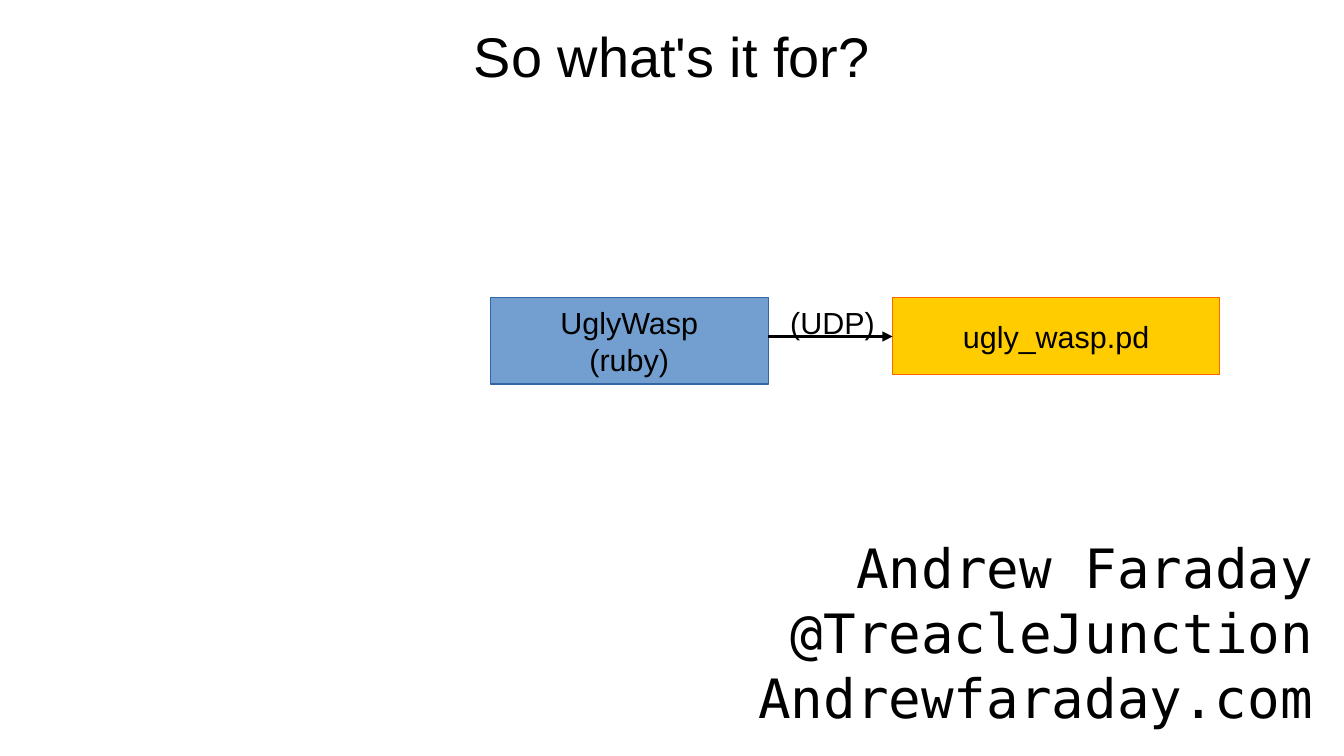
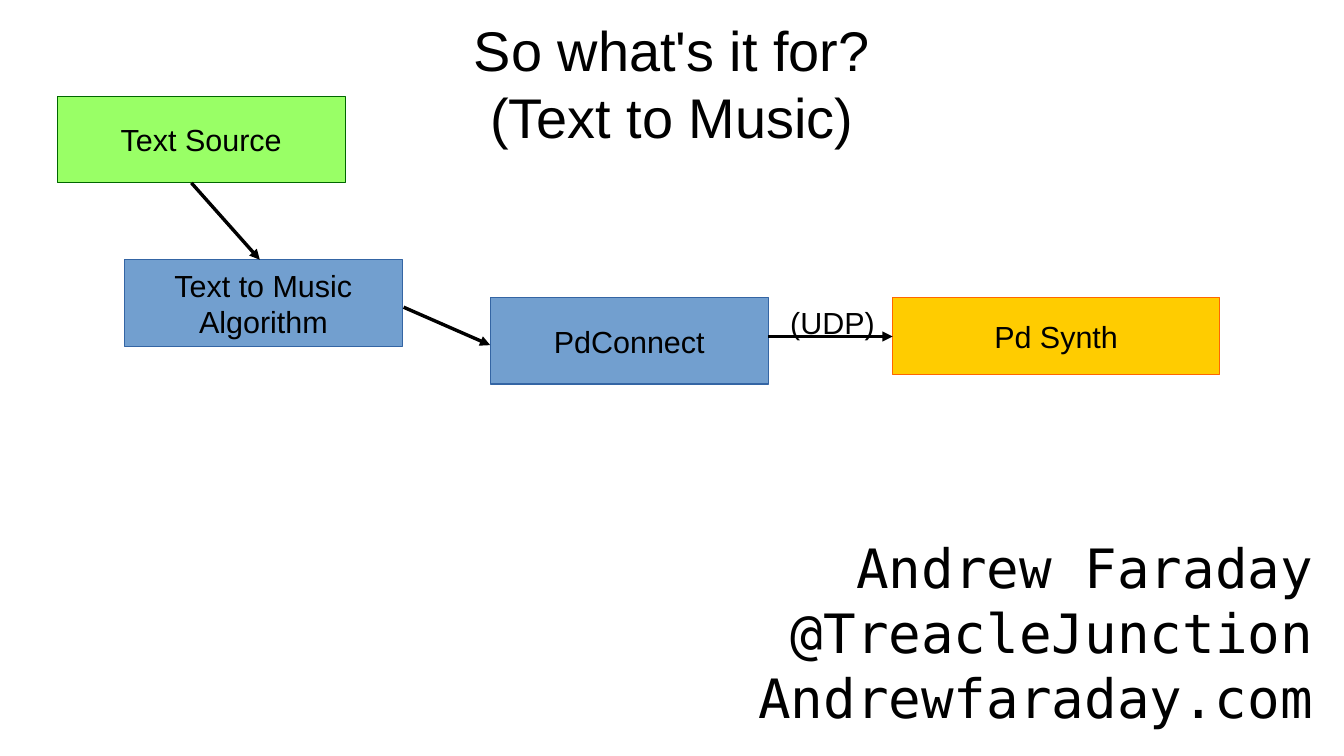
"""Build two slides on linking Ruby text tools to a Pd synth."""
from dataclasses import dataclass

from lxml import etree
from pptx import Presentation
from pptx.dml.color import RGBColor
from pptx.enum.shapes import MSO_CONNECTOR, MSO_SHAPE
from pptx.enum.text import MSO_ANCHOR, MSO_AUTO_SIZE, PP_ALIGN
from pptx.oxml.ns import qn
from pptx.slide import Slide
from pptx.text.text import TextFrame
from pptx.util import Pt

RECT = MSO_SHAPE.RECTANGLE
LINE = MSO_CONNECTOR.STRAIGHT
LEFT, MID, RIGHT = PP_ALIGN.LEFT, PP_ALIGN.CENTER, PP_ALIGN.RIGHT
TOP, MIDDLE = MSO_ANCHOR.TOP, MSO_ANCHOR.MIDDLE
FIXED = MSO_AUTO_SIZE.NONE
TITLE_ONLY = 5

SANS, MONO = "Arial", "DejaVu Sans Mono"
BLACK = "000000"
BLUE = ("729FCF", "3465A4")
GOLD = ("FFCC00", "FF6600")
GREEN = ("99FF66", "006600")
AUTHOR = "Andrew Faraday\n@TreacleJunction\nAndrewfaraday.com"


@dataclass(frozen=True)
class Box:
    """A filled box with centred text; lengths in points."""
    text: str
    left: float
    top: float
    width: float
    height: float
    paint: tuple[str, str]


@dataclass(frozen=True)
class Arrow:
    """A straight arrow; lengths in points."""
    x1: float
    y1: float
    x2: float
    y2: float


@dataclass(frozen=True)
class Page:
    """What differs from slide to slide."""
    title: str
    depth: float
    boxes: list[Box]
    arrows: list[Arrow]


def sender(text: str) -> Box:
    """Return the blue box that sends over UDP."""
    return Box(text, 289.4, 175.7, 164.2, 51.1, BLUE)


def synth(text: str) -> Box:
    """Return the gold box that receives over UDP."""
    return Box(text, 527, 175.7, 193, 45.4, GOLD)


UDP = Arrow(453.6, 198.7, 527, 198.7)
PAGES = [
    Page("So what's it for?", 41.8,
         [sender("UglyWasp\n(ruby)"), synth("ugly_wasp.pd")], [UDP]),
    Page("So what's it for?\v(Text to Music)", 74.2,
         [sender("PdConnect"), synth("Pd Synth"),
          Box("Text Source", 33.8, 56.9, 170, 51.1, GREEN),
          Box("Text to Music\nAlgorithm", 73.4, 153.4, 164.2, 51.1, BLUE)],
         [UDP, Arrow(113, 108, 153.4, 153.4),
          Arrow(238.3, 181.4, 289.4, 203.8)]),
]


def color(code: str) -> RGBColor:
    """Turn a hex string into a colour."""
    return RGBColor.from_string(code)


def write(frame: TextFrame, text: str, size: float, align: PP_ALIGN,
          anchor: MSO_ANCHOR, font: str = SANS, wrap: bool = False) -> None:
    """Fill a text frame and style its paragraphs."""
    frame.text = text
    frame.auto_size = FIXED
    frame.word_wrap = wrap
    frame.vertical_anchor = anchor
    for para in frame.paragraphs:
        para.alignment = align
        para.font.name = font
        para.font.size = Pt(size)
        para.font.color.rgb = color(BLACK)


def add_title(slide: Slide, text: str, depth: float) -> None:
    """Place and style the title."""
    title = slide.shapes.title
    title.left, title.top = Pt(39.6), Pt(11.5)
    title.width, title.height = Pt(714.2), Pt(depth)
    frame = title.text_frame
    frame.margin_left = frame.margin_right = Pt(0)
    frame.margin_top = frame.margin_bottom = Pt(0)
    write(frame, text, 33, MID, MIDDLE, wrap=True)


def add_author(slide: Slide) -> None:
    """Add the author block at the lower right."""
    block = slide.shapes.add_textbox(Pt(357), Pt(311.8), Pt(425.6), Pt(118.8))
    write(block.text_frame, AUTHOR, 32, RIGHT, TOP, MONO, wrap=True)


def add_label(slide: Slide) -> None:
    """Add the protocol label over the UDP arrow."""
    label = slide.shapes.add_textbox(Pt(459.4), Pt(175.7), Pt(64), Pt(27.4))
    write(label.text_frame, "(UDP)", 18, LEFT, TOP)


def add_box(slide: Slide, box: Box) -> None:
    """Draw one box."""
    shape = slide.shapes.add_shape(RECT, Pt(box.left), Pt(box.top),
                                   Pt(box.width), Pt(box.height))
    fill, edge = box.paint
    shape.shadow.inherit = False
    shape.fill.solid()
    shape.fill.fore_color.rgb = color(fill)
    shape.line.color.rgb = color(edge)
    shape.line.width = Pt(0)
    write(shape.text_frame, box.text, 18, MID, MIDDLE)


def add_arrow(slide: Slide, arrow: Arrow) -> None:
    """Draw one hairline with a triangle head."""
    link = slide.shapes.add_connector(LINE, Pt(arrow.x1), Pt(arrow.y1),
                                      Pt(arrow.x2), Pt(arrow.y2))
    link.line.color.rgb = color(BLACK)
    link.line.width = Pt(0)
    props = link.element.spPr
    etree.SubElement(props.find(qn("a:ln")), qn("a:tailEnd"), type="triangle")
    etree.SubElement(props, qn("a:effectLst"))


def main() -> None:
    """Build and save the deck."""
    deck = Presentation()
    deck.slide_width, deck.slide_height = Pt(793.44), Pt(446.4)
    for page in PAGES:
        slide = deck.slides.add_slide(deck.slide_layouts[TITLE_ONLY])
        add_author(slide)
        add_title(slide, page.title, page.depth)
        for box in page.boxes:
            add_box(slide, box)
        for arrow in page.arrows:
            add_arrow(slide, arrow)
        add_label(slide)
    deck.save("out.pptx")


if __name__ == "__main__":
    main()
